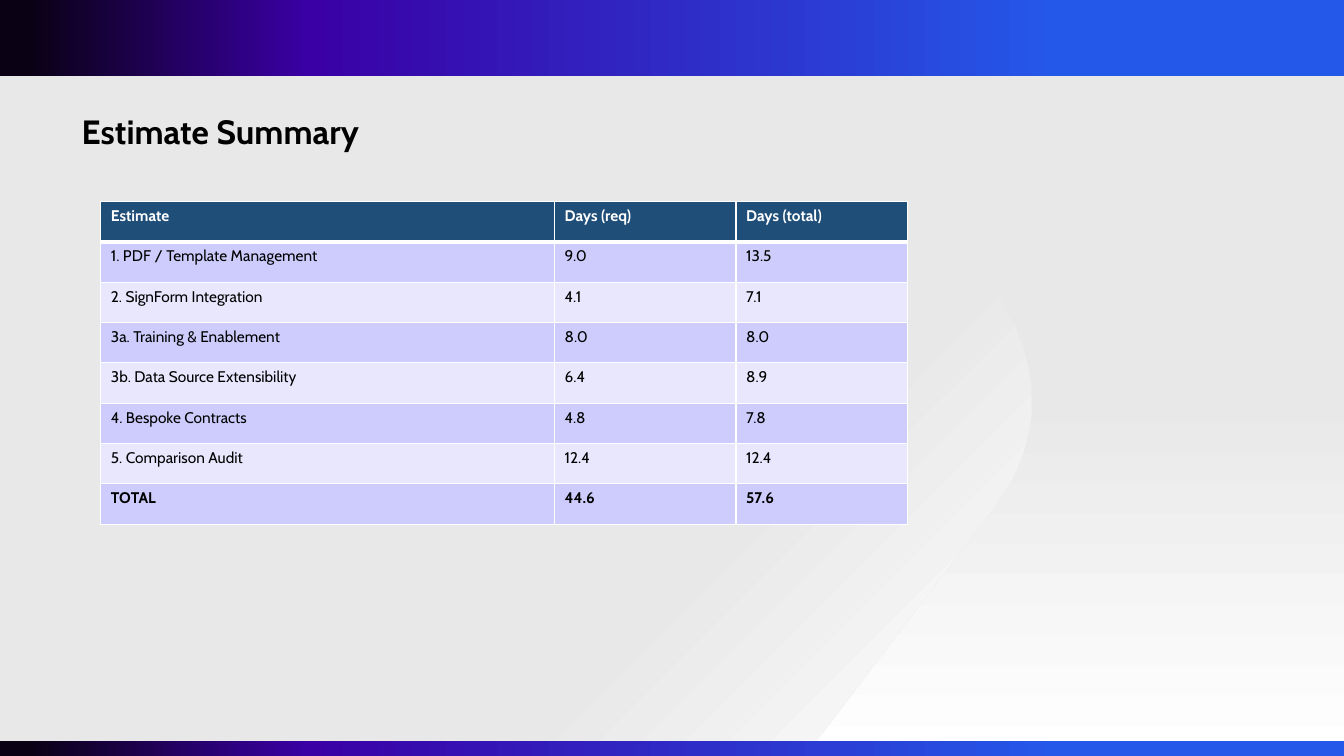
from lxml.etree import SubElement
from pptx import Presentation
from pptx.dml.color import RGBColor
from pptx.enum.shapes import MSO_SHAPE
from pptx.enum.text import MSO_ANCHOR, MSO_AUTO_SIZE, PP_ALIGN
from pptx.oxml.ns import qn
from pptx.util import Pt

PX = 9144
SLIDE_WIDTH, SLIDE_HEIGHT = 1333, 750
FONT = "Cabin"
BLACK, WHITE, GREY = "000000", "FFFFFF", "E8E8E8"
HEADER_FILL = "1F4E79"
BAND_FILLS = ("E8E7FE", "CDCCFD")
BAR_STOPS = [(21, "2458E9"), (77, "3A00A5"), (98, "0A0114")]

COLUMN_WIDTHS = (450, 180, 170)
ROWS = [
    ("Estimate", "Days (req)", "Days (total)"),
    ("1. PDF / Template Management", "9.0", "13.5"),
    ("2. SignForm Integration", "4.1", "7.1"),
    ("3a. Training & Enablement", "8.0", "8.0"),
    ("3b. Data Source Extensibility", "6.4", "8.9"),
    ("4. Bespoke Contracts", "4.8", "7.8"),
    ("5. Comparison Audit", "12.4", "12.4"),
    ("TOTAL", "44.6", "57.6"),
]


def color(value):
    return RGBColor.from_string(value)


def emu(*lengths):
    return [length * PX for length in lengths]


def style_font(font, size, value, bold):
    font.name = FONT
    font.size = Pt(size)
    font.bold = bold
    font.color.rgb = color(value)


def fill_gradient(shape, stops, clockwise_angle):
    shape.shadow.inherit = False
    shape.line.fill.background()
    shape.fill.gradient()
    shape.fill.gradient_angle = (360 - clockwise_angle) % 360
    stop_list = shape._element.spPr.find(qn("a:gradFill")).find(qn("a:gsLst"))
    for stop in list(stop_list):
        stop_list.remove(stop)
    for position, value in stops:
        stop = SubElement(stop_list, qn("a:gs"), pos=str(position * 1000))
        SubElement(stop, qn("a:srgbClr"), val=value)


def add_gradient_box(slide, box, stops, clockwise_angle):
    shape = slide.shapes.add_shape(MSO_SHAPE.RECTANGLE, *emu(*box))
    fill_gradient(shape, stops, clockwise_angle)


def curve_points(start, first, second, end, steps=12):
    points = []
    for step in range(1, steps + 1):
        t = step / steps
        weights = ((1 - t) ** 3, 3 * t * (1 - t) ** 2, 3 * t * t * (1 - t), t ** 3)
        points.append(tuple(
            sum(weight * value for weight, value in zip(weights, values))
            for values in zip(start, first, second, end)
        ))
    return points


def add_sweep(slide, box):
    left, top, width, height = box

    def place(x, y):
        return left + x, top + y

    shoulder, tip, elbow = place(1544, 288), place(1570, 338), place(1543, 498)
    points = [place(1334, 0), shoulder]
    points += curve_points(shoulder, place(1555, 302), place(1563, 318), tip)
    points += curve_points(tip, place(1589, 394), place(1579, 451), elbow)
    points += [place(1349, height), place(0, height), place(0, 53), place(8, 0)]
    builder = slide.shapes.build_freeform(*place(8, 0), scale=PX)
    builder.add_line_segments(points, close=True)
    fill_gradient(builder.convert_to_shape(), [(77, GREY), (99, WHITE)], 45)


def add_background(slide):
    add_gradient_box(slide, (0, 29, SLIDE_WIDTH, 721), [(50, GREY), (100, WHITE)], 90)
    add_sweep(slide, (-556, 4, 1579, 753))
    for top, height in ((0, 75), (735, 19)):
        add_gradient_box(slide, (0, top, SLIDE_WIDTH, height), BAR_STOPS, 180)


def add_title(slide, box):
    title = slide.shapes.title
    title._element.getparent().append(title._element)
    title.left, title.top, title.width, title.height = emu(*box)
    frame = title.text_frame
    frame.text = "Estimate Summary"
    frame.auto_size = MSO_AUTO_SIZE.NONE
    frame.word_wrap = True
    frame.vertical_anchor = MSO_ANCHOR.BOTTOM
    frame.margin_left, frame.margin_top, frame.margin_right, frame.margin_bottom = emu(0, 5, 10, 5)
    paragraph = frame.paragraphs[0]
    paragraph.alignment = PP_ALIGN.LEFT
    paragraph.line_spacing = 0.9
    style_font(paragraph.runs[0].font, 24, BLACK, True)


def add_borders(cell, widths):
    properties = cell._tc.get_or_add_tcPr()
    for side, width in zip("LRTB", widths):
        line = SubElement(properties, qn(f"a:ln{side}"), w=str(Pt(width)))
        SubElement(SubElement(line, qn("a:solidFill")), qn("a:srgbClr"), val=WHITE)


def add_estimate_table(slide, box):
    table = slide.shapes.add_table(len(ROWS), len(COLUMN_WIDTHS), *emu(*box)).table
    for column, width in zip(table.columns, COLUMN_WIDTHS):
        column.width = width * PX
    for row_index, row in enumerate(ROWS):
        table.rows[row_index].height = box[3] * PX // len(ROWS)
        is_header = row_index == 0
        is_total = row_index == len(ROWS) - 1
        top_width = 3 if row_index == 1 else 1
        bottom_width = 3 if is_header else 1
        for column_index, text in enumerate(row):
            cell = table.cell(row_index, column_index)
            add_borders(cell, (1, 1, top_width, bottom_width))
            cell.fill.solid()
            cell.fill.fore_color.rgb = color(HEADER_FILL if is_header else BAND_FILLS[row_index % 2])
            cell.text_frame.text = text
            font = cell.text_frame.paragraphs[0].runs[0].font
            style_font(font, 11, WHITE if is_header else BLACK, is_header or is_total)


def main():
    presentation = Presentation()
    presentation.slide_width, presentation.slide_height = emu(SLIDE_WIDTH, SLIDE_HEIGHT)
    slide = presentation.slides.add_slide(presentation.slide_layouts[5])
    add_background(slide)
    add_title(slide, (81, 96, 1156, 60))
    add_estimate_table(slide, (100, 200, 800, 320))
    presentation.save("out.pptx")


if __name__ == "__main__":
    main()
